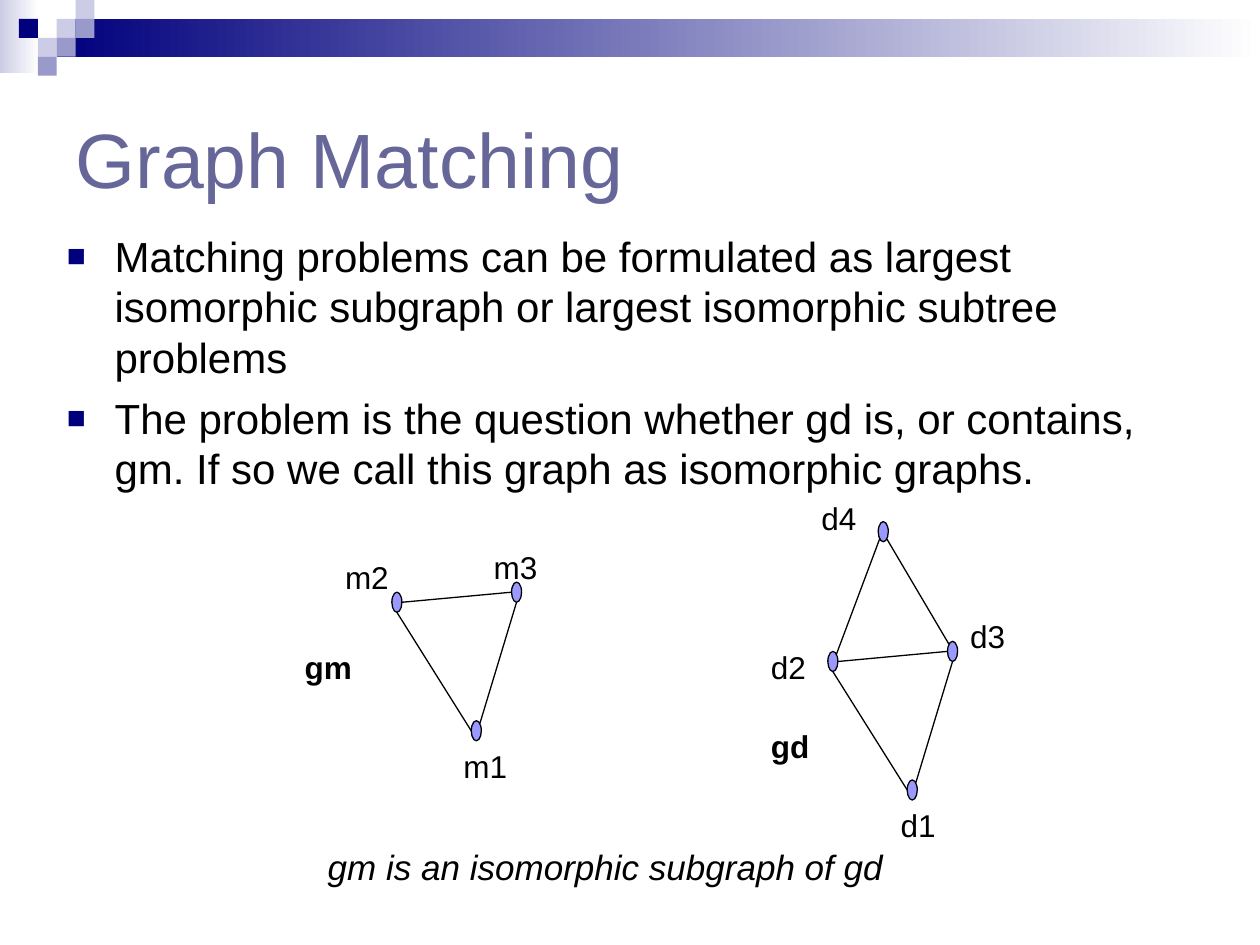
import lxml.etree
import pptx
import pptx.dml.color
import pptx.enum.shapes
import pptx.enum.text
import pptx.oxml.ns
import pptx.util

Inches, Pt = pptx.util.Inches, pptx.util.Pt
SHAPE = pptx.enum.shapes.MSO_SHAPE
ALIGN = pptx.enum.text.PP_ALIGN
ANCHOR = pptx.enum.text.MSO_ANCHOR
AUTO = pptx.enum.text.MSO_AUTO_SIZE
qn = pptx.oxml.ns.qn
COLORS = {name: pptx.dml.color.RGBColor.from_string(value) for name, value in {
    "white": "FFFFFF", "black": "000000", "navy": "00007D", "pale": "CCCCE6",
    "mid": "9999CC", "title": "666699", "node": "9999FF"}.items()}

prs = pptx.Presentation()
prs.slide_width, prs.slide_height = Inches(10), Inches(7.5)
s = prs.slides.add_slide(prs.slide_layouts[1])
title, body = s.shapes.title, s.placeholders[1]


def add_shape(kind, left, top, width, height):
    sp = s.shapes.add_shape(kind, *map(Inches, (left, top, width, height)))
    sp.shadow.inherit = False
    return sp


def format_text(p, text, color="black", **values):
    r = p.add_run()
    r.text = text
    for name, value in {"name": "Arial", **values}.items():
        setattr(r.font, name, value)
    r.font.color.rgb = COLORS[color]


# Header: two fading bars and squares on a grid of small cells
CELL = 0.15
for box, color in [((0, 0, 0.31, 0.58), "pale"),
                   ((3 * CELL, CELL, 10 - 3 * CELL, 2 * CELL), "navy")]:
    sp = add_shape(SHAPE.RECTANGLE, *box)
    sp.line.fill.background()
    sp.fill.gradient()
    sp.fill.gradient_angle = 180
    for stop, position, name in zip(sp.fill.gradient_stops, (0, 1), ("white", color)):
        stop.position = position
        stop.color.rgb = COLORS[name]

for col, row, color in [(3, 1, "pale"), (4, 0, "pale"), (4, 1, "mid"), (2, 2, "pale"),
                        (1, 1, "navy"), (3, 2, "mid"), (2, 3, "mid")]:
    sp = add_shape(SHAPE.RECTANGLE, col * CELL, row * CELL, CELL, CELL)
    sp.fill.solid()
    sp.fill.fore_color.rgb = COLORS[color]
    sp.line.fill.background()

# Title and bullets
for sp, box, anchor in [(title, (0.5, 0.5, 9, 1.5), ANCHOR.MIDDLE),
                        (body, (0.43, 1.78, 9, 4.25), ANCHOR.TOP)]:
    sp.left, sp.top, sp.width, sp.height = map(Inches, box)
    tf = sp.text_frame
    tf.word_wrap, tf.auto_size, tf.vertical_anchor = True, AUTO.NONE, anchor

p = title.text_frame.paragraphs[0]
p.alignment = ALIGN.LEFT
format_text(p, "Graph Matching", "title", size=Pt(44))

bullets = [
    "Matching problems can be formulated as largest isomorphic subgraph "
    "or largest isomorphic subtree problems",
    "The problem is the question whether gd is, or contains, gm. "
    "If so we call this graph as isomorphic graphs.",
]
tf = body.text_frame
for i, text in enumerate(bullets):
    p = tf.add_paragraph() if i else tf.paragraphs[0]
    pPr = p._p.get_or_add_pPr()
    pPr.set("marL", str(Inches(0.38)))
    pPr.set("indent", str(-Inches(0.38)))
    buClr = lxml.etree.SubElement(pPr, qn("a:buClr"))
    lxml.etree.SubElement(buClr, qn("a:srgbClr"), val=str(COLORS["navy"]))
    lxml.etree.SubElement(pPr, qn("a:buSzPct"), val="75000")
    lxml.etree.SubElement(pPr, qn("a:buFont"), typeface="Arial")
    lxml.etree.SubElement(pPr, qn("a:buChar"), char="■")
    p.space_before = Pt(6 if i else 0)
    format_text(p, text, size=Pt(24))

# Graphs: gd repeats the triangle of gm, shifted, with one more node
RX, RY = 0.04, 0.08
DIAGONAL = 0.71
SHIFT_X, SHIFT_Y = 3.46, 0.47
nodes = {"m1": (3.78, 5.80), "m2": (3.15, 4.78), "m3": (4.10, 4.70)}
for i in "123":
    x, y = nodes["m" + i]
    nodes["d" + i] = (x + SHIFT_X, y + SHIFT_Y)
nodes["d4"] = (7.01, 4.22)

for x, y in nodes.values():
    sp = add_shape(SHAPE.OVAL, x - RX, y - RY, 2 * RX, 2 * RY)
    sp.fill.solid()
    sp.fill.fore_color.rgb = COLORS["node"]
    sp.line.color.rgb = COLORS["black"]
    sp.line.width = Pt(0.75)

# Each edge end: node and the direction of its point on the ellipse
edges = []
for g in "md":
    edges += [((g + "2", 1, 0), (g + "3", -1, 0)),
              ((g + "3", 0, 1), (g + "1", DIAGONAL, -DIAGONAL)),
              ((g + "2", 0, 1), (g + "1", -1, 0))]
edges += [(("d4", -DIAGONAL, DIAGONAL), ("d2", DIAGONAL, -DIAGONAL)),
          (("d4", DIAGONAL, DIAGONAL), ("d3", -DIAGONAL, -DIAGONAL))]
for edge in edges:
    ends = []
    for node, dx, dy in edge:
        x, y = nodes[node]
        ends += [Inches(x + dx * RX), Inches(y + dy * RY)]
    line = s.shapes.add_connector(pptx.enum.shapes.MSO_CONNECTOR.STRAIGHT, *ends)
    line.line.color.rgb = COLORS["black"]
    line.line.width = Pt(0.75)
    lxml.etree.SubElement(line._element.spPr, qn("a:effectLst"))

# Labels and caption
label, name, caption = ({"size": Pt(18)}, {"size": Pt(18), "bold": True},
                        {"size": Pt(20), "italic": True})
for text, box, values in [
        ("gm", (2.32, 5.09, 0.71, 0.7), name),
        ("m2", (2.64, 4.38, 0.71, 0.4), label),
        ("m3", (3.82, 4.30, 0.55, 0.4), label),
        ("m1", (3.58, 5.88, 0.55, 0.4), label),
        ("gd", (6.02, 5.72, 0.71, 0.7), name),
        ("d2", (6.02, 5.09, 0.71, 0.4), label),
        ("d3", (7.60, 4.85, 0.55, 0.4), label),
        ("d1", (7.05, 6.35, 0.55, 0.4), label),
        ("d4", (6.42, 3.91, 0.71, 0.4), label),
        ("gm is an isomorphic subgraph of gd ", (0.83, 6.66, 8.03, 0.44), caption)]:
    tf = s.shapes.add_textbox(*map(Inches, box)).text_frame
    tf.word_wrap = True
    p = tf.paragraphs[0]
    p.alignment = ALIGN.CENTER if values is caption else ALIGN.LEFT
    format_text(p, text, **values)

prs.save("out.pptx")
